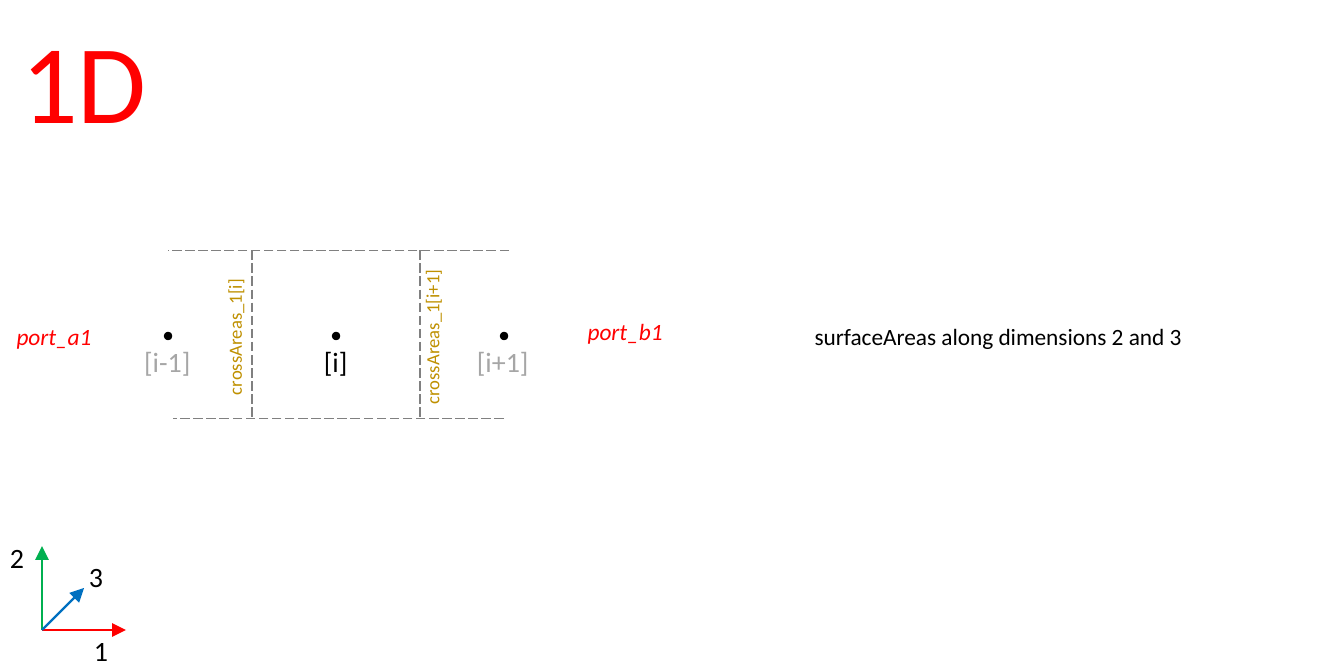
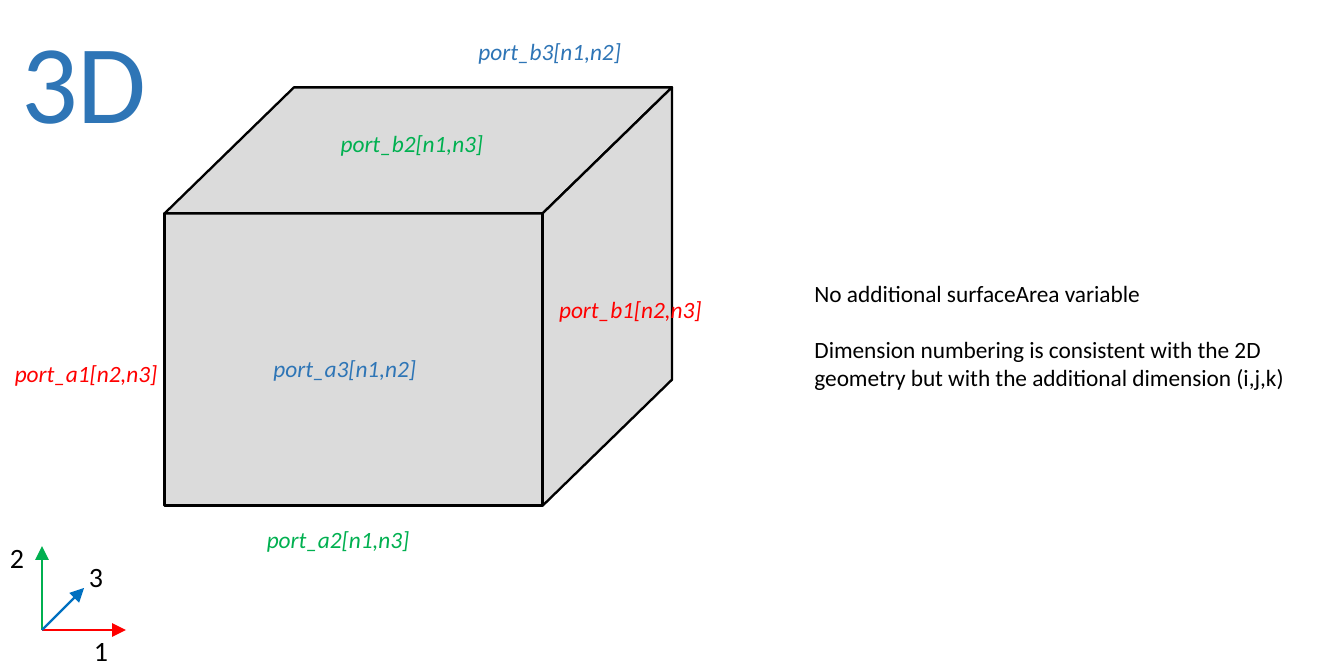
from dataclasses import dataclass

from lxml.etree import SubElement
from pptx import Presentation
from pptx.dml.color import RGBColor
from pptx.enum.dml import MSO_LINE
from pptx.enum.shapes import MSO_CONNECTOR, MSO_SHAPE
from pptx.enum.text import MSO_AUTO_SIZE, PP_ALIGN
from pptx.oxml import parse_xml
from pptx.oxml.ns import nsdecls, qn
from pptx.shapes.autoshape import Shape
from pptx.shapes.shapetree import GroupShapes, SlideShapes
from pptx.slide import Slide
from pptx.util import Inches, Pt

BLACK = RGBColor(0x00, 0x00, 0x00)
GRAY = RGBColor(0x80, 0x80, 0x80)
LIGHT_GRAY = RGBColor(0xA6, 0xA6, 0xA6)
FACE_GRAY = RGBColor(0xDB, 0xDB, 0xDB)
RED = RGBColor(0xFF, 0x00, 0x00)
GREEN = RGBColor(0x00, 0xB0, 0x50)
AXIS_BLUE = RGBColor(0x00, 0x70, 0xC0)
BLUE = RGBColor(0x2E, 0x75, 0xB6)
GOLD = RGBColor(0xBF, 0x90, 0x00)

FONT_NAME = "Calibri"
AXIS_ORIGIN = (0.25, 3.75)
CELL_SIZE = 1.0
CELL_CENTER = (2.0, 2.0)
CELL_TOP = 1.49
NODE_SIZE = 0.05
NOTE_LEFT = 4.75
PORT_HEIGHT = 0.27
PORT_WIDTH = 1.06
CUBE_LEFT, CUBE_TOP = 0.98, 0.52
FRONT_WIDTH, FRONT_HEIGHT = 2.25, 1.74
DEPTH_X, DEPTH_Y = 0.77, 0.75

Shapes = SlideShapes | GroupShapes


@dataclass(frozen=True)
class Label:
    text: str
    left: float
    top: float
    width: float
    height: float = 0.3
    color: RGBColor = BLACK
    size: float = 12
    italic: bool = False
    rotation: float = 0
    wrap: bool = False
    align: PP_ALIGN = PP_ALIGN.LEFT


@dataclass(frozen=True)
class Line:
    start: tuple[float, float]
    end: tuple[float, float]
    color: RGBColor
    width: float


@dataclass(frozen=True)
class Face:
    preset: MSO_SHAPE
    left: float
    top: float
    width: float
    height: float
    slant: float | None = None
    rotation: float = 0
    flipped: bool = False


AXIS_LINES = [
    Line(AXIS_ORIGIN, (0.75, 3.75), RED, 1),
    Line(AXIS_ORIGIN, (0.25, 3.25), GREEN, 1),
    Line(AXIS_ORIGIN, (0.5, 3.5), AXIS_BLUE, 1),
]
AXIS_LABELS = [
    Label("1", 0.46, 3.72, 0.29),
    Label("2", -0.04, 3.17, 0.29),
    Label("3", 0.43, 3.28, 0.29),
]


def port(text: str, left: float, top: float, width: float, color: RGBColor) -> Label:
    return Label(text, left, top, width, PORT_HEIGHT, color, 10, italic=True)


def add_label(shapes: Shapes, label: Label) -> Shape:
    box = shapes.add_textbox(
        Inches(label.left), Inches(label.top), Inches(label.width), Inches(label.height)
    )
    box.rotation = label.rotation
    frame = box.text_frame
    frame.word_wrap = label.wrap
    frame.auto_size = MSO_AUTO_SIZE.SHAPE_TO_FIT_TEXT
    formats = {"name": FONT_NAME, "size": Pt(label.size), "italic": label.italic}
    for index, text in enumerate(label.text.split("\n")):
        para = frame.add_paragraph() if index else frame.paragraphs[0]
        para.alignment = label.align
        if index:
            para.space_before = Pt(label.size * 1.22)
        span = para.add_run()
        span.text = text
        for name, value in formats.items():
            setattr(span.font, name, value)
        span.font.color.rgb = label.color
    return box


def add_line(shapes: Shapes, line: Line, dashed: bool = False, arrow: bool = False) -> None:
    connector = shapes.add_connector(
        MSO_CONNECTOR.STRAIGHT, *(Inches(value) for value in line.start + line.end)
    )
    connector.line.color.rgb = line.color
    connector.line.width = Pt(line.width)
    if dashed:
        connector.line.dash_style = MSO_LINE.LONG_DASH
    properties = connector._element.spPr
    if arrow:
        SubElement(properties.find(qn("a:ln")), qn("a:tailEnd"), type="triangle")
    SubElement(properties, qn("a:effectLst"))


def add_node(shapes: Shapes, center_x: float, center_y: float) -> None:
    node = shapes.add_shape(
        MSO_SHAPE.OVAL,
        Inches(center_x - NODE_SIZE / 2),
        Inches(center_y - NODE_SIZE / 2),
        Inches(NODE_SIZE),
        Inches(NODE_SIZE),
    )
    node.shadow.inherit = False
    node.fill.solid()
    node.fill.fore_color.rgb = BLACK
    node.line.fill.background()


def add_face(shapes: Shapes, face: Face) -> None:
    shape = shapes.add_shape(
        face.preset, Inches(face.left), Inches(face.top), Inches(face.width), Inches(face.height)
    )
    shape.shadow.inherit = False
    shape.fill.solid()
    shape.fill.fore_color.rgb = FACE_GRAY
    shape.line.color.rgb = BLACK
    shape.line.width = Pt(1)
    shape.rotation = face.rotation
    if face.slant is not None:
        shape.adjustments[0] = face.slant
    if face.flipped:
        shape._element.spPr.find(qn("a:xfrm")).set("flipV", "1")


def add_title(page: Slide, text: str, color: RGBColor) -> None:
    title = Label(text, 0, 0.02, 1, 0.91, color, 48, wrap=True, align=PP_ALIGN.CENTER)
    box = add_label(page.shapes, title)
    outline = parse_xml(
        f'<a:ln {nsdecls("a")} w="0"><a:solidFill><a:srgbClr val="{GRAY}"/></a:solidFill></a:ln>'
    )
    box.text_frame.paragraphs[0].runs[0].font._element.insert(0, outline)


def add_axes(page: Slide) -> None:
    group = page.shapes.add_group_shape()
    for line in AXIS_LINES:
        add_line(group.shapes, line, arrow=True)
    for label in AXIS_LABELS:
        add_label(group.shapes, label)


def build_line_page(page: Slide) -> None:
    shapes = page.shapes
    center_x, center_y = CELL_CENTER
    for step in (-1, 0, 1):
        add_node(shapes, center_x + step * CELL_SIZE, center_y)
    bottom = CELL_TOP + CELL_SIZE
    edges = [((3.03, CELL_TOP), (1, CELL_TOP)), ((3, bottom), (1.03, bottom))]
    for side in (0.5, -0.5):
        wall = center_x + side * CELL_SIZE
        edges.append(((wall, CELL_TOP), (wall, bottom)))
    for start, end in edges:
        add_line(shapes, Line(start, end, GRAY, 0.5), dashed=True)
    labels = [
        Label("[i-1]", 0.76, 2, 0.48, color=LIGHT_GRAY),
        Label("[i]", 1.83, 2, 0.34),
        Label("[i+1]", 2.74, 2, 0.51, color=LIGHT_GRAY),
        Label("crossAreas_1[i]", 0.95, 1.88, 0.9, 0.24, GOLD, 8, rotation=270),
        Label("crossAreas_1[i+1]", 2.07, 1.88, 1.01, 0.24, GOLD, 8, rotation=270),
        Label("surfaceAreas along dimensions 2 and 3", NOTE_LEFT, 1.87, 2.41, 0.27, size=10),
        port("port_a1", 0, 1.87, 0.65, RED),
        port("port_b1", 3.4, 1.84, 0.66, RED),
    ]
    for label in labels:
        add_label(shapes, label)
    add_axes(page)
    add_title(page, "1D", RED)


def build_cube_page(page: Slide) -> None:
    shapes = page.shapes
    add_axes(page)
    front_top = CUBE_TOP + DEPTH_Y
    side_length = FRONT_HEIGHT + DEPTH_Y
    side_center_x = CUBE_LEFT + FRONT_WIDTH + DEPTH_X / 2
    side_center_y = CUBE_TOP + side_length / 2
    faces = [
        Face(MSO_SHAPE.RECTANGLE, CUBE_LEFT, front_top, FRONT_WIDTH, FRONT_HEIGHT),
        Face(
            MSO_SHAPE.PARALLELOGRAM, CUBE_LEFT, CUBE_TOP,
            FRONT_WIDTH + DEPTH_X, DEPTH_Y, DEPTH_X / DEPTH_Y,
        ),
        Face(
            MSO_SHAPE.PARALLELOGRAM, side_center_x - side_length / 2,
            side_center_y - DEPTH_X / 2, side_length, DEPTH_X, DEPTH_Y / DEPTH_X, 270, True,
        ),
    ]
    for face in faces:
        add_face(shapes, face)
    note = (
        "No additional surfaceArea variable\n"
        "Dimension numbering is consistent with the 2D geometry "
        "but with the additional dimension (i,j,k)"
    )
    labels = [
        Label(note, NOTE_LEFT, 1.61, 3, 0.77, size=10, wrap=True),
        port("port_a1[n2,n3]", -0.01, 2.09, PORT_WIDTH, RED),
        port("port_a2[n1,n3]", 1.49, 3.08, PORT_WIDTH, GREEN),
        port("port_b1[n2,n3]", 3.23, 1.71, PORT_WIDTH, RED),
        port("port_b2[n1,n3]", 1.93, 0.72, PORT_WIDTH, GREEN),
        port("port_a3[n1,n2]", 1.53, 2.06, PORT_WIDTH, BLUE),
        port("port_b3[n1,n2]", 2.75, 0.17, PORT_WIDTH, BLUE),
    ]
    for label in labels:
        add_label(shapes, label)
    add_title(page, "3D", BLUE)


def main() -> None:
    deck = Presentation()
    deck.slide_width, deck.slide_height = Inches(8), Inches(4)
    for build_page in (build_line_page, build_cube_page):
        build_page(deck.slides.add_slide(deck.slide_layouts[6]))
    deck.save("out.pptx")


if __name__ == "__main__":
    main()
